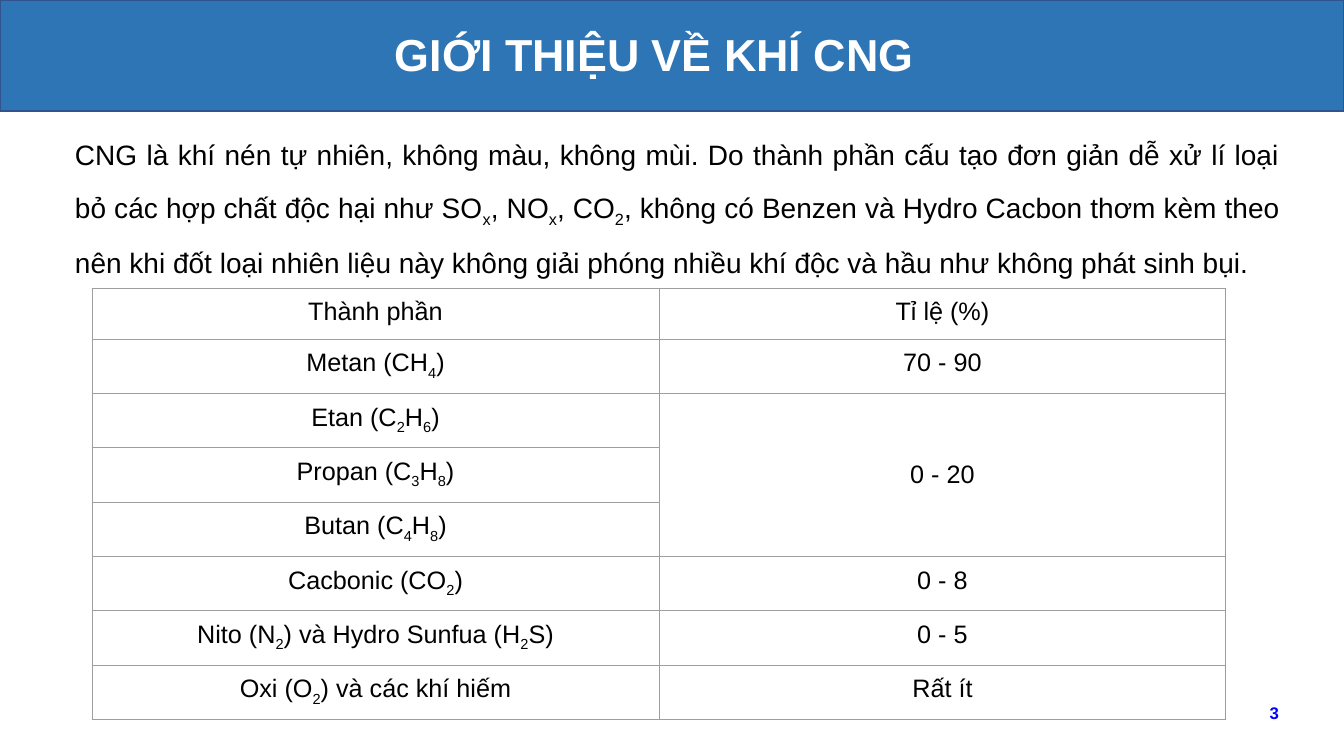
import pptx
import pptx.util
import pptx.dml.color
import pptx.enum.shapes
import pptx.enum.text
import pptx.oxml

TITLE = "GIỚI THIỆU VỀ KHÍ CNG"
INTRO = (
    "CNG là khí nén tự nhiên, không màu, không mùi. Do thành phần cấu tạo "
    "đơn giản dễ xử lí loại bỏ các hợp chất độc hại như SO_x, NO_x, CO_2, "
    "không có Benzen và Hydro Cacbon thơm kèm theo nên khi đốt loại nhiên liệu "
    "này không giải phóng nhiều khí độc và hầu như không phát sinh bụi."
)
COMPOSITION = [
    ("Thành phần", "Tỉ lệ (%)"),
    ("Metan (CH_4)", "70 - 90"),
    ("Etan (C_2H_6)", "0 - 20"),
    ("Propan (C_3H_8)", None),
    ("Butan (C_4H_8)", None),
    ("Cacbonic (CO_2)", "0 - 8"),
    ("Nito (N_2) và Hydro Sunfua (H_2S)", "0 - 5"),
    ("Oxi (O_2) và các khí hiếm", "Rất ít"),
]
PAGE_NUMBER = "3"

FONT = "Arial"
BLACK, WHITE, BLUE = "000000", "FFFFFF", "0000FF"
BANNER_FILL, BANNER_LINE, GRID = "2E75B5", "31538F", "9E9E9E"
PAGE_WIDTH, PAGE_HEIGHT = 1344, 756
COLUMN_WIDTH, HEADER_HEIGHT, ROW_HEIGHT = 567, 51, 54
ALIGN = pptx.enum.text.PP_ALIGN
ANCHOR = pptx.enum.text.MSO_ANCHOR


def px(length):
    return pptx.util.Emu(round(length * 914400 / 100.8))


def colour(value):
    return pptx.dml.color.RGBColor.from_string(value)


def write(frame, text, size, ink=BLACK, align=ALIGN.CENTER, bold=False):
    para = frame.paragraphs[0]
    para.alignment = align
    first, *rest = text.split("_")
    pieces = [(first, False)]
    for part in rest:
        pieces += [(part[0], True), (part[1:], False)]
    for words, subscript in pieces:
        span = para.add_run()
        span.text = words
        span.font.name = FONT
        span.font.size = pptx.util.Pt(size)
        span.font.bold = bold
        span.font.color.rgb = colour(ink)
        if subscript:
            span.font._element.set("baseline", "-25000")
    return para


def add_text(page, frame_px, text, size, margin=5, anchor=ANCHOR.TOP, **style):
    box = page.shapes.add_textbox(*map(px, frame_px))
    frame = box.text_frame
    frame.word_wrap = True
    frame.vertical_anchor = anchor
    frame.margin_left = frame.margin_right = px(10)
    frame.margin_top = frame.margin_bottom = px(margin)
    return write(frame, text, size, **style)


def add_borders(cell):
    properties = cell._tc.get_or_add_tcPr()
    for position, side in enumerate(("lnL", "lnR", "lnT", "lnB")):
        border = pptx.oxml.parse_xml(
            f'<a:{side} xmlns:a="http://schemas.openxmlformats.org/drawingml/2006/main" '
            f'w="9525"><a:solidFill><a:srgbClr val="{GRID}"/></a:solidFill></a:{side}>'
        )
        properties.insert(position, border)


def add_banner(page):
    banner = page.shapes.add_shape(
        pptx.enum.shapes.MSO_SHAPE.RECTANGLE, 0, 0, px(PAGE_WIDTH), px(111)
    )
    banner.shadow.inherit = False
    banner.fill.solid()
    banner.fill.fore_color.rgb = colour(BANNER_FILL)
    banner.line.color.rgb = colour(BANNER_LINE)
    banner.line.width = pptx.util.Pt(1)


def add_composition(page):
    rows = len(COMPOSITION)
    height = HEADER_HEIGHT + ROW_HEIGHT * (rows - 1)
    table = page.shapes.add_table(
        rows, 2, px(92), px(288), px(2 * COLUMN_WIDTH), px(height)
    ).table
    table.first_row = table.horz_banding = False
    for column in table.columns:
        column.width = px(COLUMN_WIDTH)
    for r, values in enumerate(COMPOSITION):
        table.rows[r].height = px(ROW_HEIGHT if r else HEADER_HEIGHT)
        for c, value in enumerate(values):
            cell = table.cell(r, c)
            cell.margin_left = cell.margin_right = px(10)
            cell.margin_top = cell.margin_bottom = px(10)
            cell.fill.background()
            add_borders(cell)
            if value:
                write(cell.text_frame, value, 18)
    shared = [r for r, values in enumerate(COMPOSITION) if values[1] is None]
    top = table.cell(shared[0] - 1, 1)
    top.merge(table.cell(shared[-1], 1))
    top.vertical_anchor = ANCHOR.MIDDLE


def main():
    deck = pptx.Presentation()
    deck.slide_width, deck.slide_height = px(PAGE_WIDTH), px(PAGE_HEIGHT)
    page = deck.slides.add_slide(deck.slide_layouts[6])
    add_text(page, (987, 693, 302, 40), PAGE_NUMBER, 12, anchor=ANCHOR.MIDDLE,
             ink=BLUE, align=ALIGN.RIGHT, bold=True)
    add_banner(page)
    add_text(page, (70, 22, 1169, 65), TITLE, 32, ink=WHITE, bold=True)
    add_composition(page)
    intro = add_text(page, (65, 111, 1225, 204), INTRO, 20, margin=10,
                     align=ALIGN.JUSTIFY)
    intro.line_spacing = 1.5
    deck.save("out.pptx")


if __name__ == "__main__":
    main()
